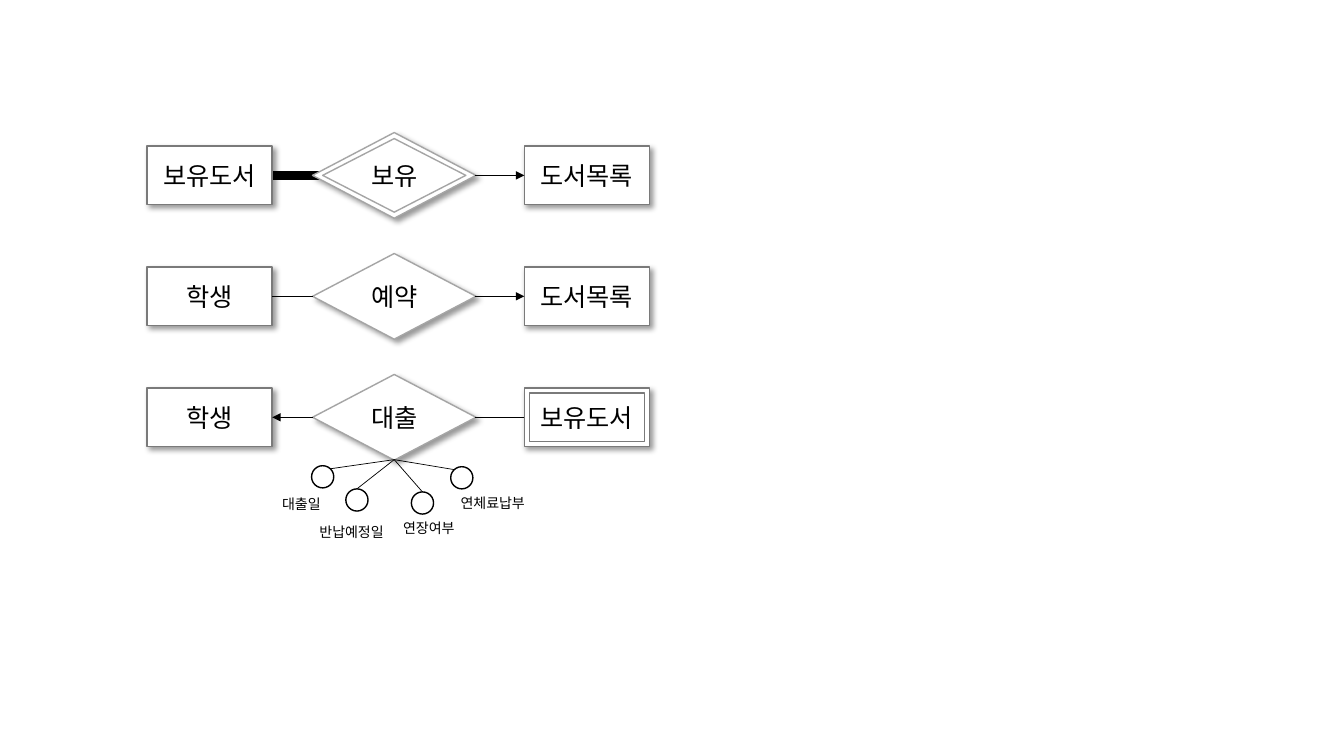
from dataclasses import dataclass

from lxml import etree
from pptx import Presentation
from pptx.dml.color import RGBColor
from pptx.enum.shapes import MSO_CONNECTOR as Connector, MSO_SHAPE as Shape
from pptx.enum.text import MSO_ANCHOR as Anchor, MSO_AUTO_SIZE as AutoSize, PP_ALIGN as Align
from pptx.oxml import parse_xml
from pptx.oxml.ns import nsdecls, qn
from pptx.util import Inches, Pt


@dataclass(frozen=True)
class Theme:
    font: str = "Noto Sans CJK KR"
    ink: str = "000000"
    paper: str = "FFFFFF"
    entity_line: str = "7A7A7A"
    relation_line: str = "A5A5A5"
    node_size: float = 18
    label_size: float = 10
    outline: float = 1
    link: float = 0.5
    thick_link: float = 6


THEME = Theme()

# Diagram grid in inches
ROWS = [1.74 + 1.2 * row for row in range(3)]
LEFT_X, RELATION_X, RIGHT_X = 2.08, 3.91, 5.82
ENTITY = (1.24, 0.58)
RELATION = (1.62, 0.85)
INNER_ENTITY = (1.14, 0.48)
INNER_RELATION = (1.42, 0.73)
CIRCLE = (0.22, 0.22)

# Attribute: label, label left and top, circle centre, link end
ATTRIBUTES = [
    ("대출일", (2.7, 4.87), (3.2, 4.73), (3.28, 4.65)),
    ("반납예정일", (3.07, 5.14), (3.54, 4.96), (3.54, 4.85)),
    ("연장여부", (3.9, 5.1), (4.19, 4.99), (4.19, 4.88)),
    ("연체료납부", (4.47, 4.86), (4.58, 4.74), (4.51, 4.66)),
]


def write(frame, text, size):
    frame.text = text
    run = frame.paragraphs[0].runs[0]
    run.font.name = THEME.font
    run.font.size = Pt(size)
    run.font.color.rgb = RGBColor.from_string(THEME.ink)
    # East Asian glyphs need their own font entry
    east_asian = etree.SubElement(run.font._element, qn("a:ea"))
    east_asian.set("typeface", THEME.font)


def add_shadow(node):
    node._element.spPr.append(parse_xml(
        f'<a:effectLst {nsdecls("a")}>'
        '<a:outerShdw blurRad="50800" dist="38100" dir="2700000" algn="tl" rotWithShape="0">'
        f'<a:srgbClr val="{THEME.ink}"><a:alpha val="40000"/></a:srgbClr>'
        '</a:outerShdw></a:effectLst>'))


def add_node(shapes, kind, center, size, line, text="", filled=True, shadow=False):
    (x, y), (width, height) = center, size
    node = shapes.add_shape(kind, Inches(x - width / 2), Inches(y - height / 2),
                            Inches(width), Inches(height))
    if filled:
        node.fill.solid()
        node.fill.fore_color.rgb = RGBColor.from_string(THEME.paper)
    else:
        node.fill.background()
    node.line.color.rgb = RGBColor.from_string(line)
    node.line.width = Pt(THEME.outline)
    if shadow:
        add_shadow(node)
    else:
        node.shadow.inherit = False
    if text:
        frame = node.text_frame
        frame.margin_left = frame.margin_right = 0
        frame.vertical_anchor = Anchor.MIDDLE
        write(frame, text, THEME.node_size)
        frame.paragraphs[0].alignment = Align.CENTER


def add_entity(shapes, x, y, text, double=False):
    target = shapes.add_group_shape().shapes if double else shapes
    add_node(target, Shape.RECTANGLE, (x, y), ENTITY, THEME.entity_line, text, shadow=True)
    if double:
        add_node(target, Shape.RECTANGLE, (x, y), INNER_ENTITY, THEME.entity_line, filled=False)


def add_relation(shapes, y, text, double=False):
    center, kind = (RELATION_X, y), Shape.FLOWCHART_DECISION
    target = shapes.add_group_shape().shapes if double else shapes
    add_node(target, kind, center, RELATION, THEME.relation_line,
             "" if double else text, shadow=True)
    if double:
        add_node(target, kind, center, INNER_RELATION, THEME.relation_line, text)


def add_link(shapes, start, end, width=THEME.link, arrow=False):
    link = shapes.add_connector(Connector.STRAIGHT, *map(Inches, (*start, *end)))
    link.line.color.rgb = RGBColor.from_string(THEME.ink)
    link.line.width = Pt(width)
    if arrow:
        etree.SubElement(link.line._get_or_add_ln(), qn("a:tailEnd")).set("type", "triangle")
    etree.SubElement(link._element.spPr, qn("a:effectLst"))


def add_attribute(shapes, text, label_at, circle_center):
    attribute = shapes.add_group_shape().shapes
    label = attribute.add_textbox(*map(Inches, (*label_at, 0.2 + 0.14 * len(text), 0.27)))
    label.text_frame.word_wrap = False
    label.text_frame.auto_size = AutoSize.SHAPE_TO_FIT_TEXT
    write(label.text_frame, text, THEME.label_size)
    add_node(attribute, Shape.OVAL, circle_center, CIRCLE, THEME.ink)


def main():
    deck = Presentation()
    deck.slide_width, deck.slide_height = Inches(13.33), Inches(7.5)
    shapes = deck.slides.add_slide(deck.slide_layouts[6]).shapes
    holding, reserving, lending = ROWS

    # Thick link runs beneath the holding diamond
    add_link(shapes, (2.7, holding), (3.54, holding), THEME.thick_link)

    # Holding
    add_entity(shapes, LEFT_X, holding, "보유도서")
    add_relation(shapes, holding, "보유", double=True)
    add_entity(shapes, RIGHT_X, holding, "도서목록")

    # Reserving
    add_entity(shapes, LEFT_X, reserving, "학생")
    add_relation(shapes, reserving, "예약")
    add_entity(shapes, RIGHT_X, reserving, "도서목록")

    # Lending
    add_entity(shapes, LEFT_X, lending, "학생")
    add_relation(shapes, lending, "대출")
    add_entity(shapes, RIGHT_X, lending, "보유도서", double=True)

    # Links between entities and relations
    add_link(shapes, (4.71, holding), (5.2, holding), arrow=True)
    add_link(shapes, (2.7, reserving), (3.1, reserving))
    add_link(shapes, (4.71, reserving), (5.2, reserving), arrow=True)
    add_link(shapes, (3.1, lending), (2.7, lending), arrow=True)
    add_link(shapes, (5.2, lending), (4.71, lending))

    # Attributes of lending
    lending_tip = (RELATION_X, 4.56)
    for text, label_at, circle_center, link_end in ATTRIBUTES:
        add_attribute(shapes, text, label_at, circle_center)
        add_link(shapes, lending_tip, link_end)

    deck.save("out.pptx")


if __name__ == "__main__":
    main()
